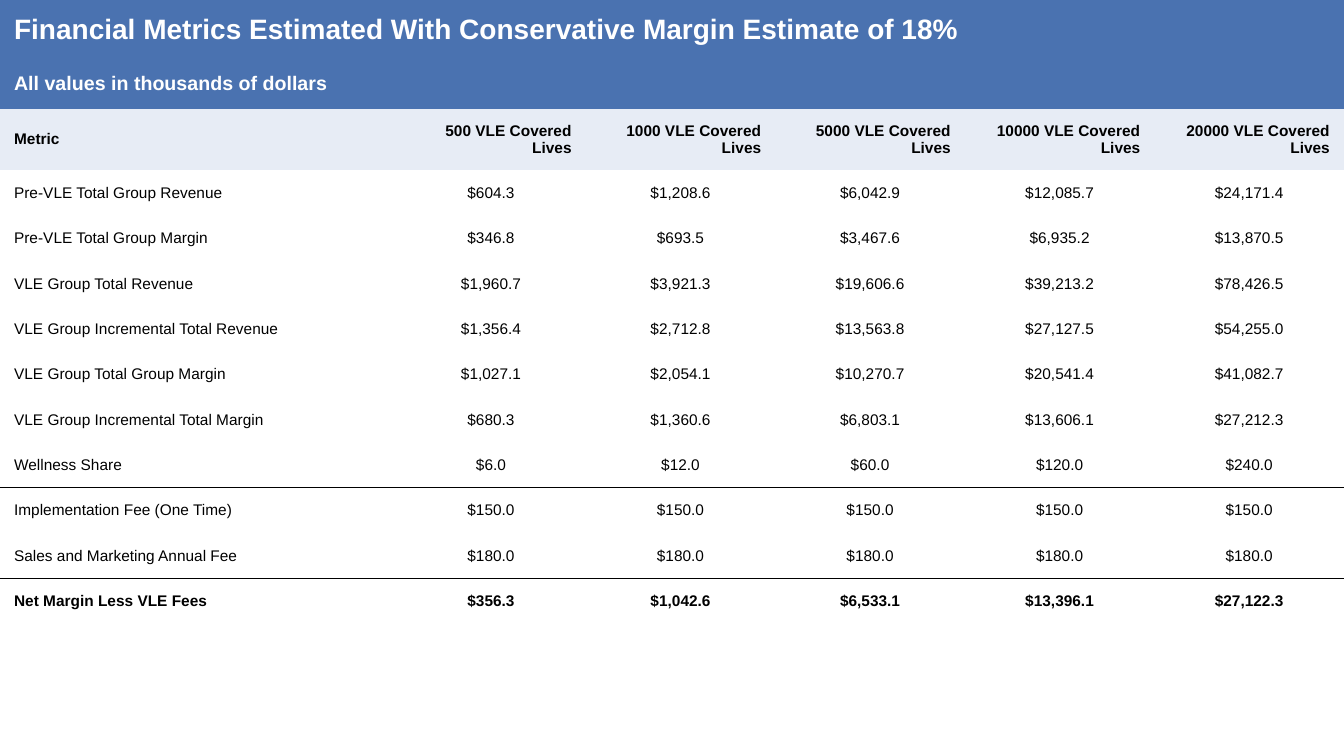
from lxml import etree
from pptx import Presentation
from pptx.dml.color import RGBColor
from pptx.enum.text import MSO_ANCHOR, PP_ALIGN
from pptx.oxml.ns import qn
from pptx.util import Inches, Pt

LEFT, CENTER, RIGHT = PP_ALIGN.LEFT, PP_ALIGN.CENTER, PP_ALIGN.RIGHT
MIDDLE = MSO_ANCHOR.MIDDLE
PLAIN_STYLE = "{2D5ABB26-0587-4C30-8999-92F81FD0307C}"
BLUE, PALE_BLUE, WHITE, BLACK = "4A72B0", "E7ECF5", "FFFFFF", "000000"

TITLES = [
    ("Financial Metrics Estimated With Conservative Margin Estimate of 18%", 20),
    ("All values in thousands of dollars", 14),
]
COVERED_LIVES = [500, 1000, 5000, 10000, 20000]
METRICS = [
    ("Pre-VLE Total Group Revenue", 604.3, 1208.6, 6042.9, 12085.7, 24171.4),
    ("Pre-VLE Total Group Margin", 346.8, 693.5, 3467.6, 6935.2, 13870.5),
    ("VLE Group Total Revenue", 1960.7, 3921.3, 19606.6, 39213.2, 78426.5),
    ("VLE Group Incremental Total Revenue", 1356.4, 2712.8, 13563.8, 27127.5, 54255.0),
    ("VLE Group Total Group Margin", 1027.1, 2054.1, 10270.7, 20541.4, 41082.7),
    ("VLE Group Incremental Total Margin", 680.3, 1360.6, 6803.1, 13606.1, 27212.3),
    ("Wellness Share", 6, 12, 60, 120, 240),
    ("Implementation Fee (One Time)", 150, 150, 150, 150, 150),
    ("Sales and Marketing Annual Fee", 180, 180, 180, 180, 180),
    ("Net Margin Less VLE Fees", 356.3, 1042.6, 6533.1, 13396.1, 27122.3),
]
RULED_METRICS = ["Wellness Share", "Sales and Marketing Annual Fee"]
TOTAL_METRIC = "Net Margin Less VLE Fees"
ROW_HEIGHTS = [0.59, 0.49, 0.61] + [0.45] * len(METRICS)
COLUMN_WIDTHS = [3.93] + [1.88] * len(COVERED_LIVES)


def fill_cell(cell, text, align=LEFT, size=11, bold=True, color=BLACK, fill=None):
    cell.margin_left = cell.margin_right = Inches(0.14)
    cell.margin_top = cell.margin_bottom = Inches(0.13)
    cell.vertical_anchor = MIDDLE
    if fill:
        cell.fill.solid()
        cell.fill.fore_color.rgb = RGBColor.from_string(fill)
    else:
        cell.fill.background()
    paragraph = cell.text_frame.paragraphs[0]
    paragraph.text = text
    paragraph.alignment = align
    paragraph.font.name = "Arial"
    paragraph.font.size = Pt(size)
    paragraph.font.bold = bold
    paragraph.font.color.rgb = RGBColor.from_string(color)


def set_rules(cell, above, below):
    """Give the cell a 1 pt black line, or none, on its top and bottom."""
    sides = [("lnT", above), ("lnB", below)]
    for position, (side, ruled) in enumerate(sides):
        line = etree.Element(qn(f"a:{side}"), w=str(Pt(1)))
        if ruled:
            solid = etree.SubElement(line, qn("a:solidFill"))
            etree.SubElement(solid, qn("a:srgbClr"), val=BLACK)
        else:
            etree.SubElement(line, qn("a:noFill"))
        cell._tc.get_or_add_tcPr().insert(position, line)


prs = Presentation()
prs.slide_width, prs.slide_height = Inches(13.33), Inches(7.5)
slide = prs.slides.add_slide(prs.slide_layouts[6])

table = slide.shapes.add_table(
    len(ROW_HEIGHTS), len(COLUMN_WIDTHS), 0, 0,
    Inches(sum(COLUMN_WIDTHS)), Inches(sum(ROW_HEIGHTS)),
).table
table.first_row = table.horz_banding = False
table._tbl.tblPr.find(qn("a:tableStyleId")).text = PLAIN_STYLE
for row, height in zip(table.rows, ROW_HEIGHTS):
    row.height = Inches(height)
for column, width in zip(table.columns, COLUMN_WIDTHS):
    column.width = Inches(width)

last_column = len(COLUMN_WIDTHS) - 1
for r, (title, size) in enumerate(TITLES):
    table.cell(r, 0).merge(table.cell(r, last_column))
    fill_cell(table.cell(r, 0), title, size=size, color=WHITE, fill=BLUE)

header_row = len(TITLES)
fill_cell(table.cell(header_row, 0), "Metric", fill=PALE_BLUE)
for c, lives in enumerate(COVERED_LIVES, start=1):
    fill_cell(table.cell(header_row, c), f"{lives} VLE Covered Lives", RIGHT, fill=PALE_BLUE)

above = False
for r, (metric, *amounts) in enumerate(METRICS, start=header_row + 1):
    bold = metric == TOTAL_METRIC
    below = metric in RULED_METRICS
    fill_cell(table.cell(r, 0), metric, bold=bold)
    for c, amount in enumerate(amounts, start=1):
        fill_cell(table.cell(r, c), f"${amount:,.1f}", CENTER, bold=bold)
    for cell in table.rows[r].cells:
        set_rules(cell, above, below)
    above = below

prs.save("out.pptx")
